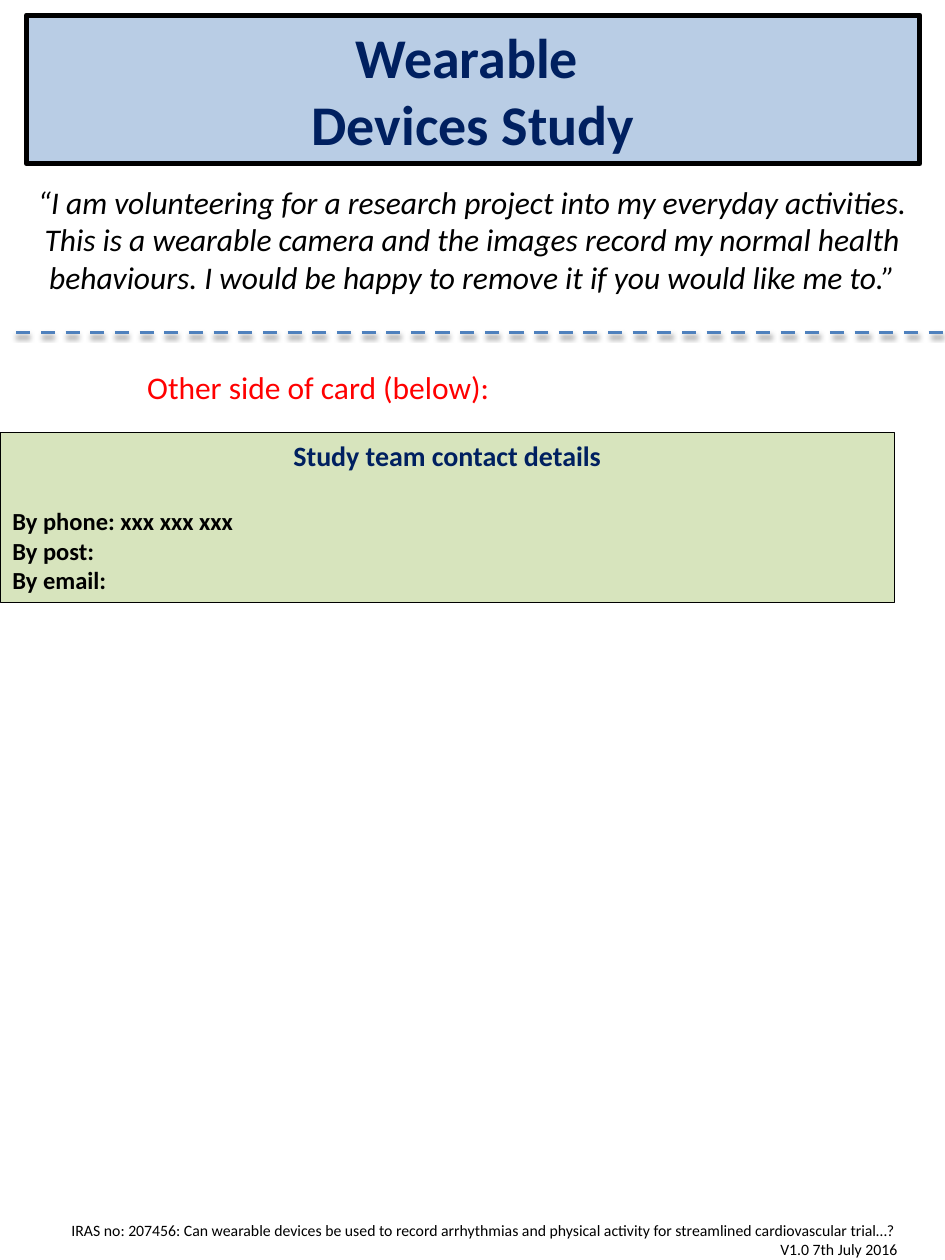
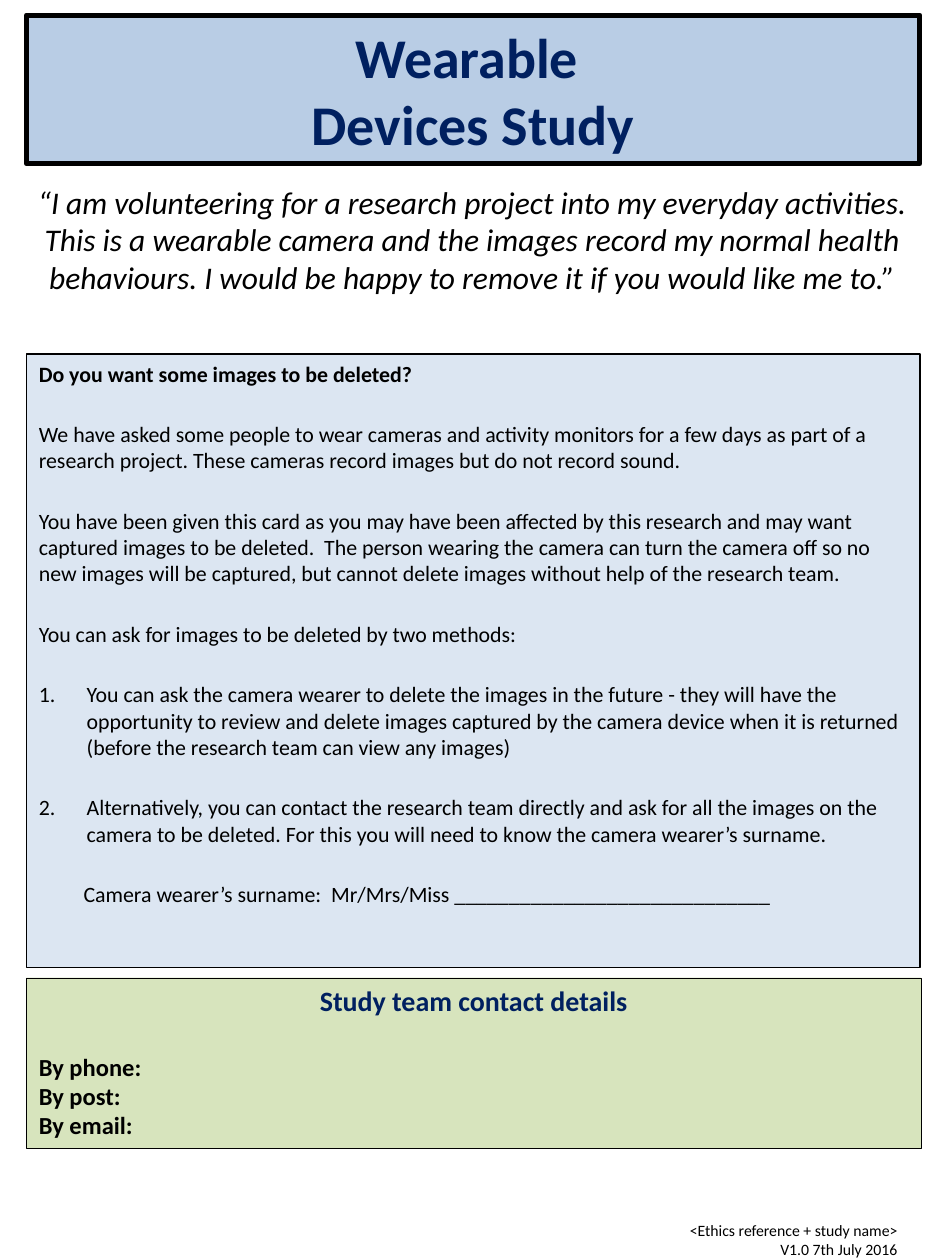
"""Builds the two study information cards."""
from dataclasses import dataclass

import lxml.etree
import pptx
import pptx.dml.color
import pptx.enum.dml
import pptx.enum.shapes
import pptx.enum.text
import pptx.oxml.ns
import pptx.util

ALIGN = pptx.enum.text.PP_ALIGN
ANCHOR = pptx.enum.text.MSO_ANCHOR
COLUMNS, ROWS = 75, 100
MARGIN, PANEL_WIDTH = 2.1, 70.9


@dataclass(frozen=True)
class Theme:
    """Colours, font and type sizes shared by the cards."""
    font: str = "Calibri"
    ink: str = "000000"
    navy: str = "002060"
    red: str = "FF0000"
    rule: str = "4F81BD"
    banner: str = "B9CDE5"
    advice: str = "DCE6F2"
    contact: str = "D7E4BD"
    title_size: float = 32
    lead_size: float = 18
    heading_size: float = 16
    contact_size: float = 14
    body_size: float = 12.5
    footer_size: float = 9
    body_gap: float = 19.6
    contact_gap: float = 19.5


def rgb(code):
    """Turn a hex code into a colour."""
    return pptx.dml.color.RGBColor.from_string(code)


class Card:
    """Holds the theme and the current slide, and draws each kind of element."""

    def __init__(self, theme):
        self.theme = theme
        self.deck = pptx.Presentation()
        self.deck.slide_width = pptx.util.Inches(7.5)
        self.deck.slide_height = pptx.util.Inches(10)
        self.slide = None

    def new_slide(self):
        """Start a slide on the blank layout."""
        self.slide = self.deck.slides.add_slide(self.deck.slide_layouts[6])

    def x(self, columns):
        """Convert columns to a length."""
        return round(self.deck.slide_width * columns / COLUMNS)

    def y(self, rows):
        """Convert rows to a length."""
        return round(self.deck.slide_height * rows / ROWS)

    def place(self, left, top, width, height):
        """Convert a grid cell range to lengths."""
        return self.x(left), self.y(top), self.x(width), self.y(height)

    def panel(self, cell, fill, line_width, anchor=ANCHOR.TOP):
        """Draw an outlined box and return its text frame."""
        box = self.slide.shapes.add_shape(
            pptx.enum.shapes.MSO_SHAPE.RECTANGLE, *self.place(*cell))
        box.shadow.inherit = False
        box.fill.solid()
        box.fill.fore_color.rgb = rgb(fill)
        box.line.color.rgb = rgb(self.theme.ink)
        box.line.width = pptx.util.Pt(line_width)
        box.text_frame.word_wrap = True
        box.text_frame.vertical_anchor = anchor
        return box.text_frame

    def text_box(self, cell):
        """Add a wrapping text box and return its text frame."""
        frame = self.slide.shapes.add_textbox(*self.place(*cell)).text_frame
        frame.word_wrap = True
        frame.auto_size = pptx.enum.text.MSO_AUTO_SIZE.SHAPE_TO_FIT_TEXT
        return frame

    def add_text(self, frame, text, size, color=None, align=ALIGN.LEFT,
                 bold=False, italic=False, gap=0, indent=0, numbered=False):
        """Put one paragraph into the frame, filling the first one if free."""
        first = frame.paragraphs[0]
        paragraph = frame.add_paragraph() if first.runs else first
        paragraph.text = text
        paragraph.alignment = align
        paragraph.space_before = pptx.util.Pt(gap)
        properties = paragraph._p.get_or_add_pPr()
        if indent:
            properties.set("marL", str(self.x(indent)))
        if numbered:
            properties.set("indent", str(-self.x(indent)))
            lxml.etree.SubElement(properties, pptx.oxml.ns.qn("a:buAutoNum"),
                                  type="arabicPeriod")
        font = paragraph.font
        font.name = self.theme.font
        font.size = pptx.util.Pt(size)
        font.bold = bold
        font.italic = italic
        font.color.rgb = rgb(color or self.theme.ink)

    def header(self):
        """Draw the title band and the volunteer's statement."""
        theme = self.theme
        band = self.panel((MARGIN, 1.2, PANEL_WIDTH, 11.8), theme.banner, 3,
                          ANCHOR.MIDDLE)
        self.add_text(band, "Wearable \vDevices Study", theme.title_size,
                      theme.navy, ALIGN.CENTER, bold=True)
        statement = self.text_box((0, 14, COLUMNS, 10.1))
        self.add_text(statement, "“I am volunteering for a research project "
                      "into my everyday activities. This is a wearable camera "
                      "and the images record my normal health behaviours. I "
                      "would be happy to remove it if you would like me to.”",
                      theme.lead_size, align=ALIGN.CENTER, italic=True)

    def contacts(self, left, top, phone):
        """Draw the contact panel."""
        theme = self.theme
        details = self.panel((left, top, 71, 13.5), theme.contact, 0.25)
        details.auto_size = pptx.enum.text.MSO_AUTO_SIZE.SHAPE_TO_FIT_TEXT
        self.add_text(details, "Study team contact details",
                      theme.heading_size, theme.navy, ALIGN.CENTER, bold=True)
        for text, gap in ((phone, theme.contact_gap), ("By post:", 0),
                          ("By email:", 0)):
            self.add_text(details, text, theme.contact_size, bold=True, gap=gap)

    def footer(self, reference):
        """Add the study reference and version."""
        frame = self.text_box((MARGIN, 96.4, 70.1, 4))
        for text in (reference, "V1.0 7th July 2016"):
            self.add_text(frame, text, self.theme.footer_size,
                          align=ALIGN.RIGHT)

    def cut_line(self, start, end, row):
        """Draw a dashed rule with a soft shadow below it."""
        rule = self.slide.shapes.add_connector(
            pptx.enum.shapes.MSO_CONNECTOR.STRAIGHT,
            self.x(start), self.y(row), self.x(end), self.y(row))
        rule.line.color.rgb = rgb(self.theme.rule)
        rule.line.width = pptx.util.Pt(2)
        rule.line.dash_style = pptx.enum.dml.MSO_LINE.DASH
        qn = pptx.oxml.ns.qn
        effects = lxml.etree.SubElement(rule._element.spPr, qn("a:effectLst"))
        shadow = lxml.etree.SubElement(
            effects, qn("a:outerShdw"), blurRad=str(int(pptx.util.Pt(3.1))),
            dist=str(int(pptx.util.Pt(1.6))), dir="5400000", rotWithShape="0")
        tint = lxml.etree.SubElement(shadow, qn("a:srgbClr"), val=self.theme.ink)
        lxml.etree.SubElement(tint, qn("a:alpha"), val="38000")

    def advice(self):
        """Draw the panel on having images deleted."""
        theme = self.theme
        panel = self.panel((MARGIN, 28.1, PANEL_WIDTH, 48.7), theme.advice, 1)
        self.add_text(panel, "Do you want some images to be deleted?",
                      theme.body_size, bold=True, gap=2.5)
        step = {"indent": 3.8, "numbered": True}
        for text, layout in (
            ("We have asked some people to wear cameras and activity monitors "
             "for a few days as part of a research project. These cameras "
             "record images but do not record sound.", {}),
            ("You have been given this card as you may have been affected by "
             "this research and may want captured images to be deleted.  The "
             "person wearing the camera can turn the camera off so no new "
             "images will be captured, but cannot delete images without help "
             "of the research team.", {}),
            ("You can ask for images to be deleted by two methods:", {}),
            ("You can ask the camera wearer to delete the images in the future "
             "- they will have the opportunity to review and delete images "
             "captured by the camera device when it is returned (before the "
             "research team can view any images)", step),
            ("Alternatively, you can contact the research team directly and ask "
             "for all the images on the camera to be deleted. For this you will "
             "need to know the camera wearer’s surname.", step),
            ("Camera wearer’s surname:  Mr/Mrs/Miss " + "_" * 29,
             {"indent": 3.55}),
        ):
            self.add_text(panel, text, theme.body_size, gap=theme.body_gap,
                          **layout)


def main():
    """Build both cards and save them."""
    card = Card(Theme())

    card.new_slide()
    card.header()
    card.contacts(0, 34.3, "By phone: xxx xxx xxx")
    card.footer("IRAS no: 207456: Can wearable devices be used to record "
                "arrhythmias and physical activity for streamlined "
                "cardiovascular trial…? ")
    card.add_text(card.text_box((10.7, 28.7, 41.7, 4)),
                  "Other side of card (below):", card.theme.lead_size,
                  card.theme.red)
    card.cut_line(1.3, COLUMNS, 26.4)

    card.new_slide()
    card.header()
    card.advice()
    card.contacts(MARGIN, 77.6, "By phone:")
    card.footer("<Ethics reference + study name>")

    card.deck.save("out.pptx")


main()
